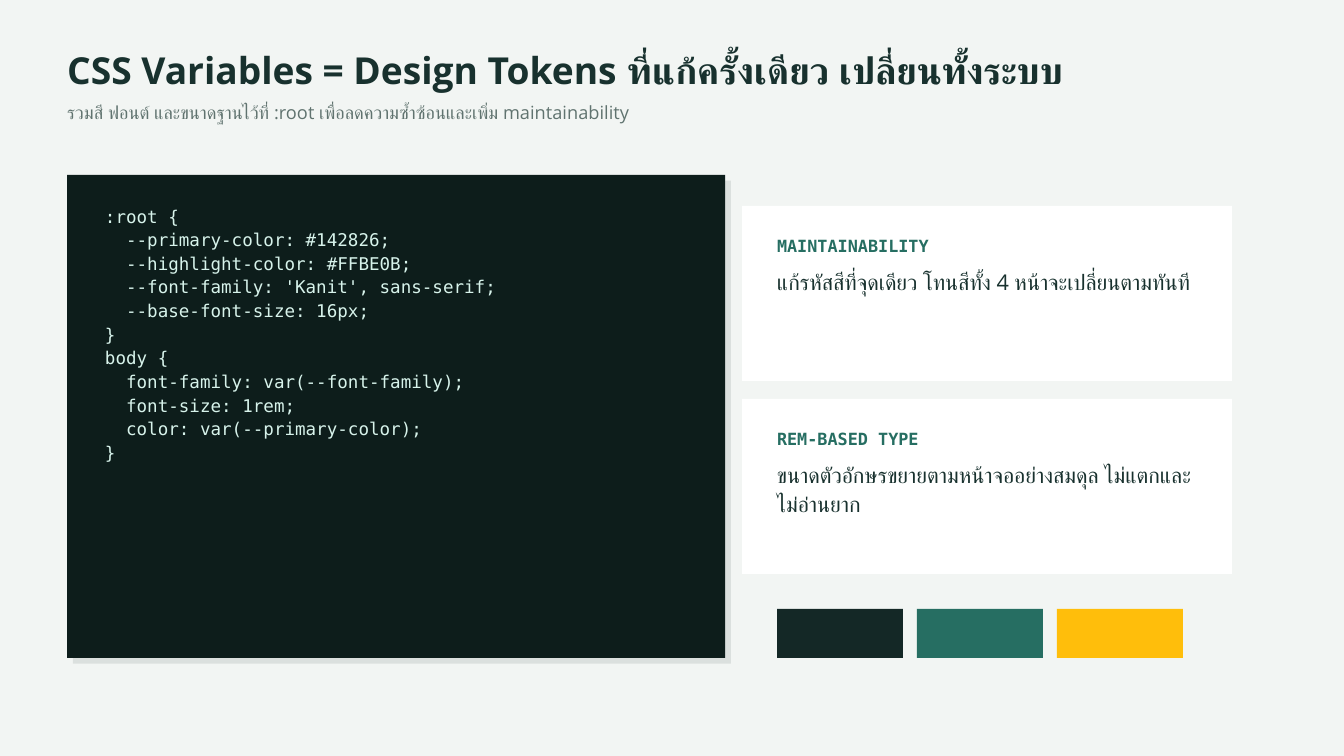
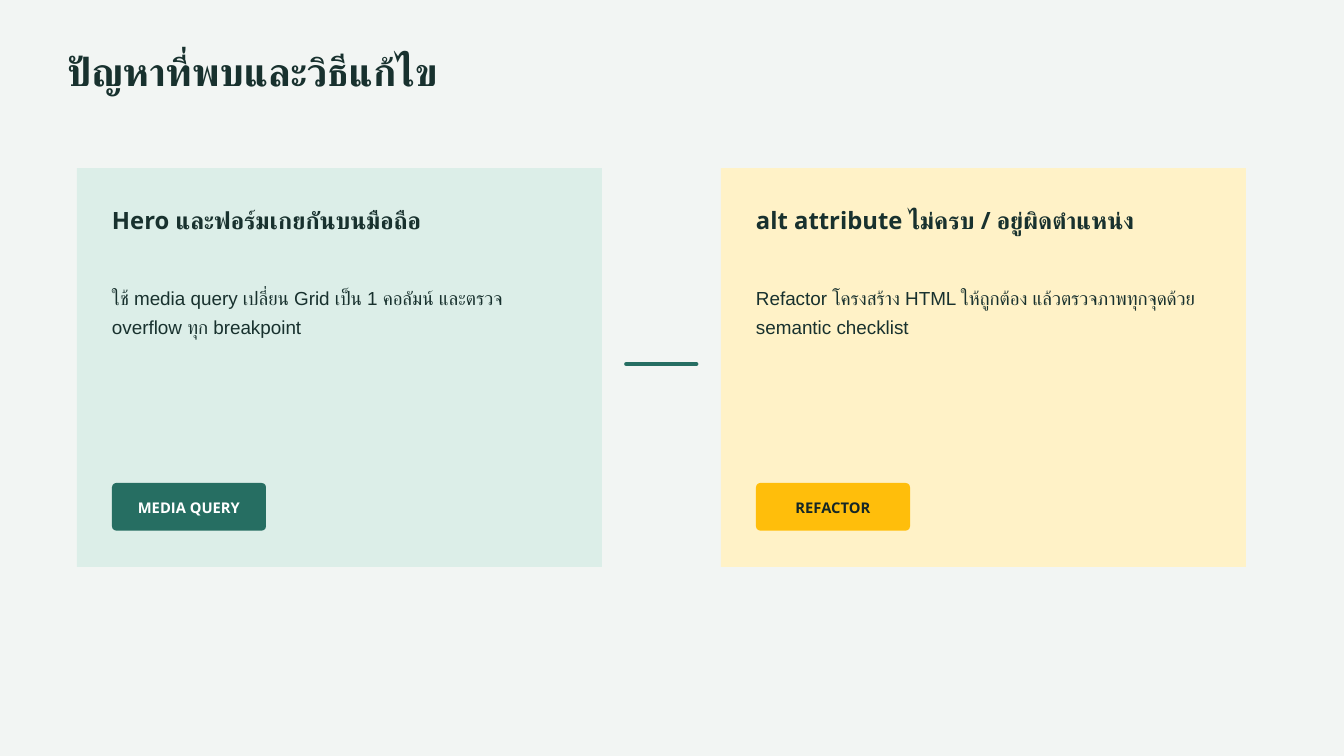
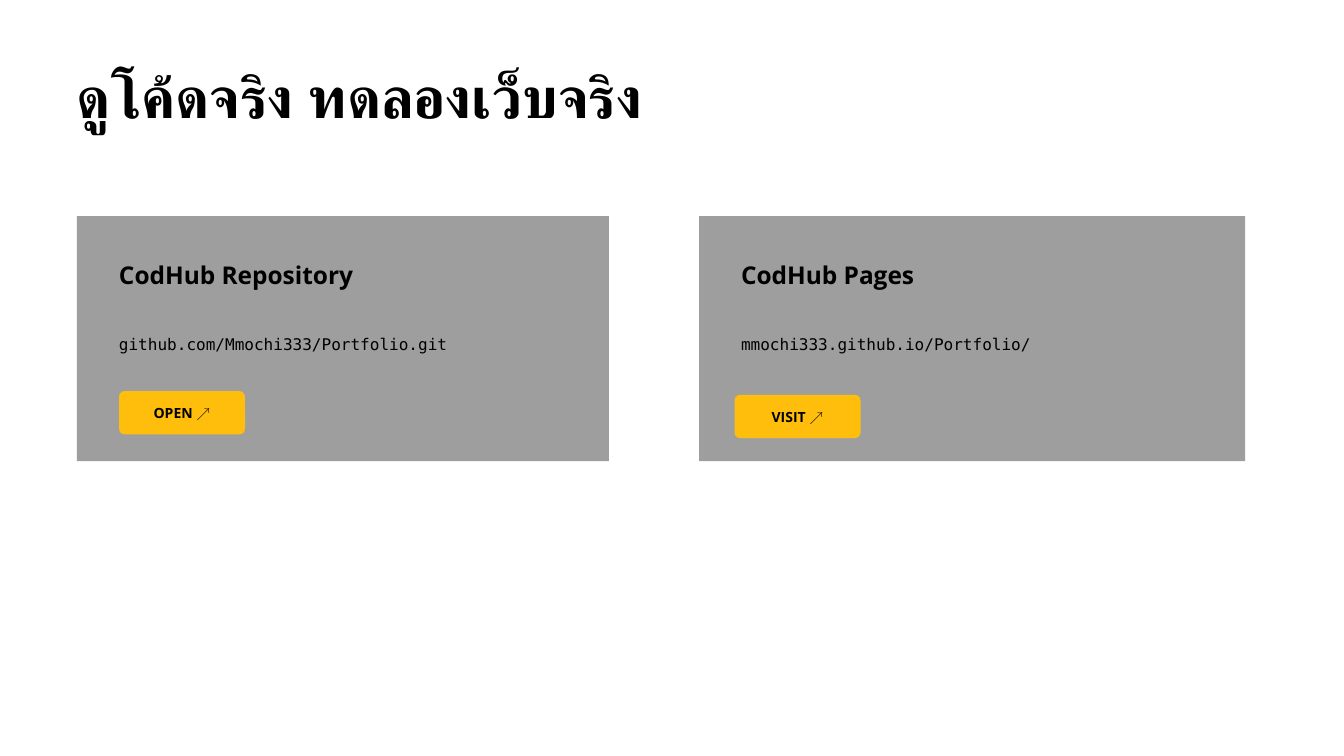
from lxml import etree
from pptx import Presentation
from pptx.dml.color import RGBColor
from pptx.enum import shapes, text
from pptx.oxml import ns
from pptx.util import Pt

# Shared look
colour = RGBColor.from_string
INK, PINE, TEAL, YELLOW = "18312E", "142826", "266E62", "FFBE0B"
MIST, WHITE, BLACK, GREY = "F2F5F3", "FFFFFF", "000000", "9E9E9E"
SANS, MONO = "Open Sans", "DejaVu Sans Mono"
RECT = shapes.MSO_SHAPE.RECTANGLE
ROUNDED = shapes.MSO_SHAPE.ROUNDED_RECTANGLE

# Text styles: font, size, line spacing, bold
TOKENS_TITLE = (SANS, 39.8, 42.9, True)
FIXES_TITLE = (SANS, 42, 45.4, True)
LINKS_TITLE = (SANS, 61.5, 66.4, True)
SUBTITLE = (SANS, 19.5, 26.3, False)
CODE = (MONO, 18.8, 25.3, False)
LABEL = (MONO, 18, 25.2, True)
BENEFIT = (SANS, 23.2, 31.4, False)
PROBLEM = (SANS, 25.5, 35.7, True)
FIX = ("Arial", 20.2, 31.4, False)
FIX_TAG = (SANS, 15.8, 19.7, True)
LINK_NAME = (SANS, 26.2, 36.8, True)
ADDRESS = (MONO, 17.2, 26.7, False)
LINK_BUTTON = (SANS, 15, 18.8, True)


def block(slide, outline, place, fill):
    shape = slide.shapes.add_shape(outline, *map(Pt, place))
    shape.shadow.inherit = False
    shape.fill.solid()
    shape.fill.fore_color.rgb = colour(fill)
    shape.line.fill.background()
    return shape


def write(shape, place, lines, style, ink, inset=0):
    """Fill a shape with lines; an inset centres them as on a button."""
    font_name, size, spacing, bold = style
    shape.left, shape.top, shape.width, shape.height = map(Pt, place)
    frame = shape.text_frame
    frame.word_wrap = True
    frame.auto_size = text.MSO_AUTO_SIZE.NONE
    frame.margin_left = frame.margin_right = Pt(inset)
    frame.margin_top = frame.margin_bottom = Pt(inset)
    frame.vertical_anchor = text.MSO_ANCHOR.MIDDLE if inset else text.MSO_ANCHOR.TOP
    for number, line in enumerate(lines):
        paragraph = frame.add_paragraph() if number else frame.paragraphs[0]
        paragraph.alignment = text.PP_ALIGN.CENTER if inset else text.PP_ALIGN.LEFT
        paragraph.line_spacing = Pt(spacing)
        run = paragraph.add_run()
        run.text = line
        run.font.size, run.font.bold = Pt(size), bold
        run.font.color.rgb = colour(ink)
        run.font.name = font_name
        # Thai letters take the complex-script font
        etree.SubElement(run._r.get_or_add_rPr(), ns.qn("a:cs"), typeface=font_name)


prs = Presentation()
prs.slide_width, prs.slide_height = Pt(1440), Pt(810)

# Slides with their titles
slides = []
for heading, place, style, ink, background in (
    ("CSS Variables = Design Tokens ที่แก้ครั้งเดียว เปลี่ยนทั้งระบบ",
     (72, 56, 1125, 44), TOKENS_TITLE, INK, MIST),
    ("ปัญหาที่พบและวิธีแก้ไข", (72, 55.5, 1125, 47), FIXES_TITLE, INK, MIST),
    ("ดูโค้ดจริง ทดลองเว็บจริง", (82.5, 72.5, 1125, 68.5), LINKS_TITLE, BLACK, WHITE),
):
    slide = prs.slides.add_slide(prs.slide_layouts[5])
    slide.background.fill.solid()
    slide.background.fill.fore_color.rgb = colour(background)
    write(slide.shapes.title, place, [heading], style, ink)
    slides.append(slide)
tokens, fixes, links = slides

# Slide 1: subtitle and code panel with a soft offset shadow
write(tokens.shapes.add_textbox(0, 0, 0, 0), (72, 106, 1125, 26.5),
      ["รวมสี ฟอนต์ และขนาดฐานไว้ที่ :root เพื่อลดความซ้ำซ้อนและเพิ่ม maintainability"],
      SUBTITLE, "60736F")
panel_shadow = block(tokens, RECT, (78, 193.5, 705, 517.5), PINE)
shade = panel_shadow.fill._xPr.find(".//" + ns.qn("a:srgbClr"))
etree.SubElement(shade, ns.qn("a:alpha"), val="10000")
block(tokens, RECT, (72, 187.5, 705, 517.5), "0D1D1B")
code = """:root {
  --primary-color: #142826;
  --highlight-color: #FFBE0B;
  --font-family: 'Kanit', sans-serif;
  --base-font-size: 16px;
}
body {
  font-family: var(--font-family);
  font-size: 1rem;
  color: var(--primary-color);
}"""
write(tokens.shapes.add_textbox(0, 0, 0, 0), (112.5, 217.5, 615, 270.5),
      code.split("\n"), CODE, "D7F3EB")

# Slide 1: benefit cards
for row, (label, benefit) in enumerate((
    ("MAINTAINABILITY", "แก้รหัสสีที่จุดเดียว โทนสีทั้ง 4 หน้าจะเปลี่ยนตามทันที"),
    ("REM-BASED TYPE", "ขนาดตัวอักษรขยายตามหน้าจออย่างสมดุล ไม่แตกและไม่อ่านยาก"),
)):
    top = 220.5 + 207 * row
    block(tokens, RECT, (795, top, 525, 187.5), WHITE)
    write(tokens.shapes.add_textbox(0, 0, 0, 0), (832.5, top + 28, 450, 24),
          [label], LABEL, TEAL)
    write(tokens.shapes.add_textbox(0, 0, 0, 0), (832.5, top + 63.5, 465, 60.5),
          [benefit], BENEFIT, INK)

# Slide 1: palette swatches
for column, swatch in enumerate((PINE, TEAL, YELLOW)):
    block(tokens, RECT, (832.5 + 150 * column, 652.5, 135, 52.5), swatch)

# Slide 2: problem cards joined by a dash
for left, width, card, tag_fill, tag_ink, problem, fix, tag in (
    (82.5, 465, "DCEEE8", TEAL, WHITE, "Hero และฟอร์มเกยกันบนมือถือ",
     "ใช้ media query เปลี่ยน Grid เป็น 1 คอลัมน์ และตรวจ overflow ทุก breakpoint",
     "MEDIA QUERY"),
    (772.5, 487.5, "FFF2C7", YELLOW, "142626", "alt attribute ไม่ครบ / อยู่ผิดตำแหน่ง",
     "Refactor โครงสร้าง HTML ให้ถูกต้อง แล้วตรวจภาพทุกจุดด้วย semantic checklist",
     "REFACTOR"),
):
    block(fixes, RECT, (left, 180, 562.5, 427.5), card)
    inner = left + 37.5
    place = (inner, 517.5, 165, 51)
    button = block(fixes, ROUNDED, place, tag_fill)
    button.adjustments[0] = 0.09
    write(button, place, [tag], FIX_TAG, tag_ink, inset=4.5)
    write(fixes.shapes.add_textbox(0, 0, 0, 0), (inner, 215.5, width, 32.5),
          [problem], PROBLEM, INK)
    write(fixes.shapes.add_textbox(0, 0, 0, 0), (inner, 299.5, width, 59),
          [fix], FIX, INK)

dash = fixes.shapes.add_connector(
    shapes.MSO_CONNECTOR.STRAIGHT, Pt(671), Pt(390), Pt(746), Pt(390))
dash.line.color.rgb = colour(TEAL)
dash.line.width = Pt(4.5)
dash_properties = dash._element.spPr
dash_properties.find(ns.qn("a:ln")).set("cap", "rnd")
etree.SubElement(dash_properties, ns.qn("a:effectLst"))

# Slide 3: link cards
for left, width, button_left, button_top, name, address, action in (
    (82.5, 570, 127.5, 419, "CodHub Repository",
     "github.com/Mmochi333/Portfolio.git", "OPEN ↗"),
    (749, 585, 787, 423, "CodHub Pages",
     "mmochi333.github.io/Portfolio/", "VISIT ↗"),
):
    block(links, RECT, (left, 231.5, width, 262.5), GREY)
    place = (button_left, button_top, 135, 46.5)
    button = block(links, ROUNDED, place, YELLOW)
    button.adjustments[0] = 0.13
    write(button, place, [action], LINK_BUTTON, BLACK, inset=4.5)
    write(links.shapes.add_textbox(0, 0, 0, 0), (left + 45, 273.5, 465, 34.5),
          [name], LINK_NAME, BLACK)
    write(links.shapes.add_textbox(0, 0, 0, 0), (left + 45, 352, 487.5, 24),
          [address], ADDRESS, BLACK)

prs.save("out.pptx")
